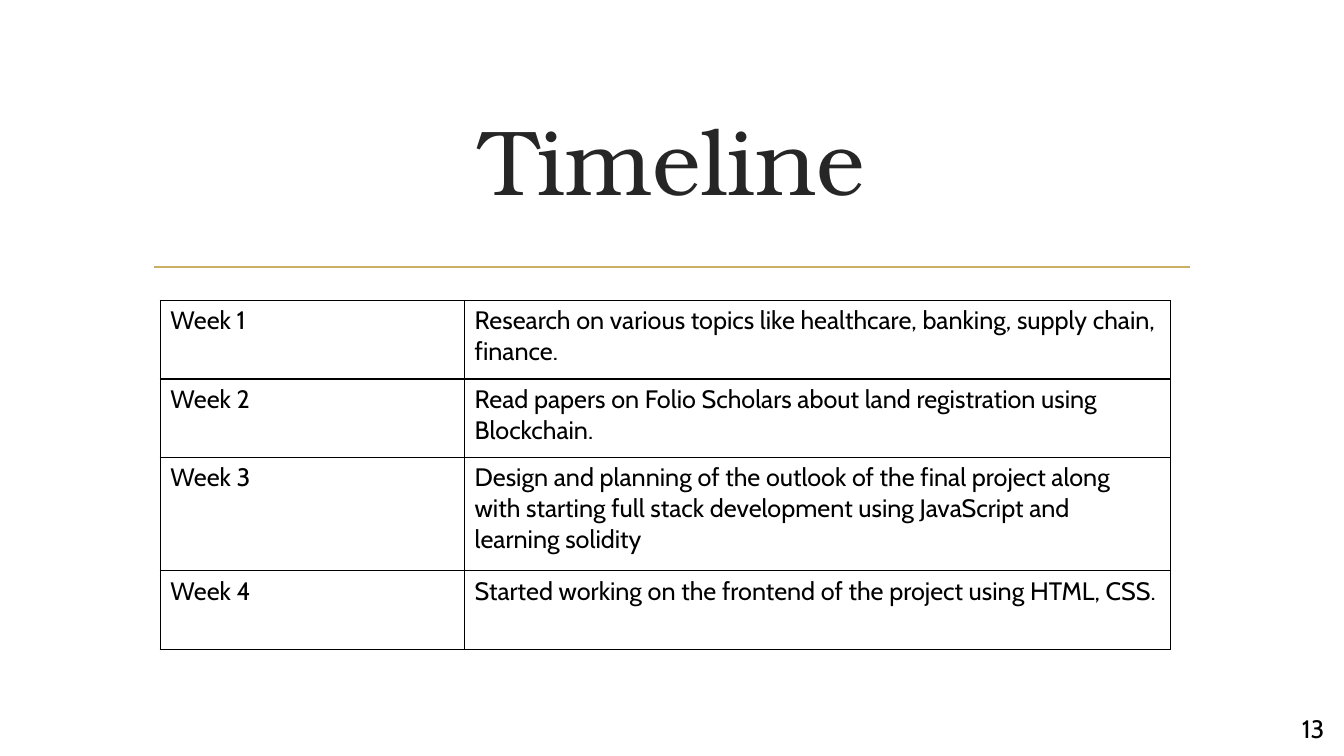
from lxml.etree import SubElement
from pptx import Presentation
from pptx.dml.color import RGBColor
from pptx.enum.shapes import MSO_CONNECTOR as Connector
from pptx.enum.text import MSO_ANCHOR as Anchor, PP_ALIGN as Align
from pptx.oxml.ns import qn
from pptx.util import Cm, Pt

WEEKS = [
    ("Week 1", "Research on various topics like healthcare, banking, supply chain, finance."),
    ("Week 2", "Read papers on Folio Scholars about land registration using Blockchain."),
    ("Week 3", "Design and planning of the outlook of the final project along with starting "
               "full stack development using JavaScript and learning solidity"),
    ("Week 4", "Started working on the frontend of the project using HTML, CSS."),
]
COLUMN_WIDTHS = (7.67, 17.78)
ROW_HEIGHTS = (1.98, 1.98, 2.85, 1.98)


def color(value):
    return RGBColor.from_string(value)


def write(frame, text, *, font="Cabin", size=18, fill="000000",
          align=Align.LEFT, anchor=Anchor.TOP):
    frame.word_wrap = True
    frame.vertical_anchor = anchor
    paragraph = frame.paragraphs[0]
    paragraph.alignment = align
    run = paragraph.add_run()
    run.text = text
    run.font.name = font
    run.font.size = Pt(size)
    run.font.color.rgb = color(fill)


class TimelineSlide:
    heading_font = "TeX Gyre Bonum"
    heading_color = "262626"
    rule_color = "CBAF62"
    border_color = "000000"
    background = "FFFFFF"

    def __init__(self, presentation):
        self.slide = presentation.slides.add_slide(presentation.slide_layouts[5])
        fill = self.slide.background.fill
        fill.solid()
        fill.fore_color.rgb = color(self.background)

    def title(self, text, left, top, width, height):
        shape = self.slide.shapes.title
        shape.left, shape.top = Cm(left), Cm(top)
        shape.width, shape.height = Cm(width), Cm(height)
        write(shape.text_frame, text, font=self.heading_font, size=66,
              fill=self.heading_color, align=Align.CENTER, anchor=Anchor.MIDDLE)

    def rule(self, left, right, top):
        line = self.slide.shapes.add_connector(
            Connector.STRAIGHT, Cm(left), Cm(top), Cm(right), Cm(top))
        line.line.color.rgb = color(self.rule_color)
        line.line.width = Pt(1.25)
        SubElement(line._element.spPr, qn("a:effectLst"))

    def table(self, rows, left, top):
        frame = self.slide.shapes.add_table(
            len(rows), len(COLUMN_WIDTHS), Cm(left), Cm(top),
            Cm(sum(COLUMN_WIDTHS)), Cm(sum(ROW_HEIGHTS)))
        table = frame.table
        table.first_row = table.horz_banding = False
        for column, width in zip(table.columns, COLUMN_WIDTHS):
            column.width = Cm(width)
        for row, height, texts in zip(table.rows, ROW_HEIGHTS, rows):
            row.height = Cm(height)
            for cell, text in zip(row.cells, texts):
                write(cell.text_frame, text)
                self.borders(cell)
                cell.fill.background()

    def borders(self, cell):
        properties = cell._tc.get_or_add_tcPr()
        for side in ("lnL", "lnR", "lnT", "lnB"):
            line = SubElement(properties, qn(f"a:{side}"), w=str(Pt(1)))
            fill = SubElement(line, qn("a:solidFill"))
            SubElement(fill, qn("a:srgbClr"), val=self.border_color)

    def page_number(self, text, left, top, width, height):
        box = self.slide.shapes.add_textbox(Cm(left), Cm(top), Cm(width), Cm(height))
        write(box.text_frame, text, align=Align.RIGHT, anchor=Anchor.MIDDLE)


def main():
    presentation = Presentation()
    presentation.slide_width, presentation.slide_height = Cm(33.87), Cm(19.05)
    timeline = TimelineSlide(presentation)

    # Heading
    timeline.rule(3.89, 30, 6.73)
    timeline.title("Timeline", 3.61, 2.18, 26.67, 3.63)

    # Weekly plan
    timeline.table(WEEKS, 4.04, 7.57)

    # Footer
    timeline.page_number("13", 32.13, 17.96, 1.5, 0.79)

    presentation.save("out.pptx")


if __name__ == "__main__":
    main()
